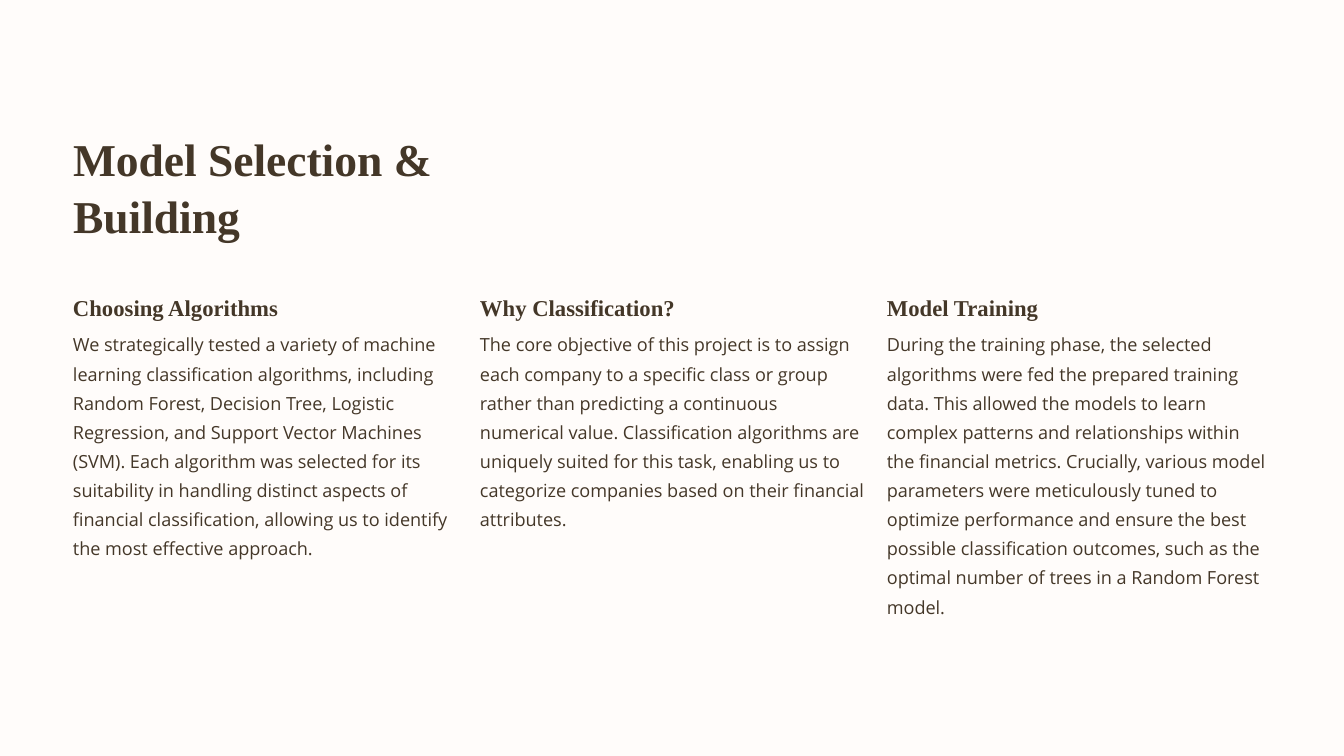
import pptx
import pptx.util
import pptx.dml.color
import pptx.enum.text

Pt = pptx.util.Pt
RGB = pptx.dml.color.RGBColor

COLORS = {"panel": "FFFCFA", "text": "443728"}

FORMATS = {
    "title": {"name": "Times New Roman", "size": Pt(48.75), "bold": True},
    "heading": {"name": "Times New Roman", "size": Pt(24.37), "bold": True},
    "body": {"name": "Open Sans", "size": Pt(19.37), "bold": False},
}
LINE_SPACING = {"title": 60.6, "heading": 30, "body": 31.2}

FRAME = {
    "margin_left": 0, "margin_top": 0, "margin_right": 0, "margin_bottom": 0,
    "word_wrap": True,
    "auto_size": pptx.enum.text.MSO_AUTO_SIZE.SHAPE_TO_FIT_TEXT,
    "vertical_anchor": pptx.enum.text.MSO_ANCHOR.TOP,
}

PAGE_WIDTH, PAGE_HEIGHT = 1440, 810
LEFT, TITLE_TOP, COLUMN_TOP = 78.25, 138.75, 313.5
COLUMN_WIDTH, COLUMN_GAP = 412, 24

# Heading, body text, height of the body box
COLUMNS = [
    ("Choosing Algorithms",
     "We strategically tested a variety of machine learning classification "
     "algorithms, including Random Forest, Decision Tree, Logistic Regression, "
     "and Support Vector Machines (SVM). Each algorithm was selected for its "
     "suitability in handling distinct aspects of financial classification, "
     "allowing us to identify the most effective approach.", 257),
    ("Why Classification?",
     "The core objective of this project is to assign each company to a specific "
     "class or group rather than predicting a continuous numerical value. "
     "Classification algorithms are uniquely suited for this task, enabling us to "
     "categorize companies based on their financial attributes.", 225.5),
    ("Model Training",
     "During the training phase, the selected algorithms were fed the prepared "
     "training data. This allowed the models to learn complex patterns and "
     "relationships within the financial metrics. Crucially, various model "
     "parameters were meticulously tuned to optimize performance and ensure the "
     "best possible classification outcomes, such as the optimal number of trees "
     "in a Random Forest model.", 319),
]


def set_attributes(target, values):
    for name, value in values.items():
        setattr(target, name, value)


def write_text(box, text, role):
    """Fill a box with one paragraph in the format of its role."""
    frame = box.text_frame
    set_attributes(frame, FRAME)
    para = frame.paragraphs[0]
    set_attributes(para, {
        "alignment": pptx.enum.text.PP_ALIGN.LEFT,
        "line_spacing": Pt(LINE_SPACING[role]),
        "space_before": Pt(0),
    })
    span = para.add_run()
    span.text = text
    set_attributes(span.font, FORMATS[role])
    span.font.color.rgb = RGB.from_string(COLORS["text"])


def place_panel(page, left, top, width, height):
    """Draw the plain panel behind the text."""
    right, bottom = left + width, top + height
    outline = page.shapes.build_freeform(Pt(left), Pt(top))
    outline.add_line_segments(
        [(Pt(x), Pt(y)) for x, y in
         ((right, top), (right, bottom), (left, bottom))])
    panel = outline.convert_to_shape()
    panel.shadow.inherit = False
    panel.fill.solid()
    panel.fill.fore_color.rgb = RGB.from_string(COLORS["panel"])
    panel.line.fill.background()


def place_title(page, left, top, width, height):
    title = page.shapes.title
    set_attributes(title, {"left": Pt(left), "top": Pt(top),
                           "width": Pt(width), "height": Pt(height)})
    write_text(title, "Model Selection & Building", "title")
    # The title stands in front of the panel
    page.shapes.element.append(title.element)


def place_column(page, left, top, width, heading, body, body_height):
    heading_box = page.shapes.add_textbox(Pt(left), Pt(top), Pt(244), Pt(31))
    write_text(heading_box, heading, "heading")
    body_box = page.shapes.add_textbox(
        Pt(left), Pt(top + 36.25), Pt(width), Pt(body_height))
    write_text(body_box, body, "body")


def main():
    deck = pptx.Presentation()
    deck.slide_width, deck.slide_height = Pt(PAGE_WIDTH), Pt(PAGE_HEIGHT)
    page = deck.slides.add_slide(deck.slide_layouts.get_by_name("Title Only"))

    place_panel(page, 0, 0, PAGE_WIDTH, PAGE_HEIGHT)
    place_title(page, LEFT, TITLE_TOP, 566, 63.5)
    for index, (heading, body, body_height) in enumerate(COLUMNS):
        left = LEFT + index * (COLUMN_WIDTH + COLUMN_GAP)
        place_column(page, left, COLUMN_TOP, COLUMN_WIDTH,
                     heading, body, body_height)
    deck.save("out.pptx")


if __name__ == "__main__":
    main()
